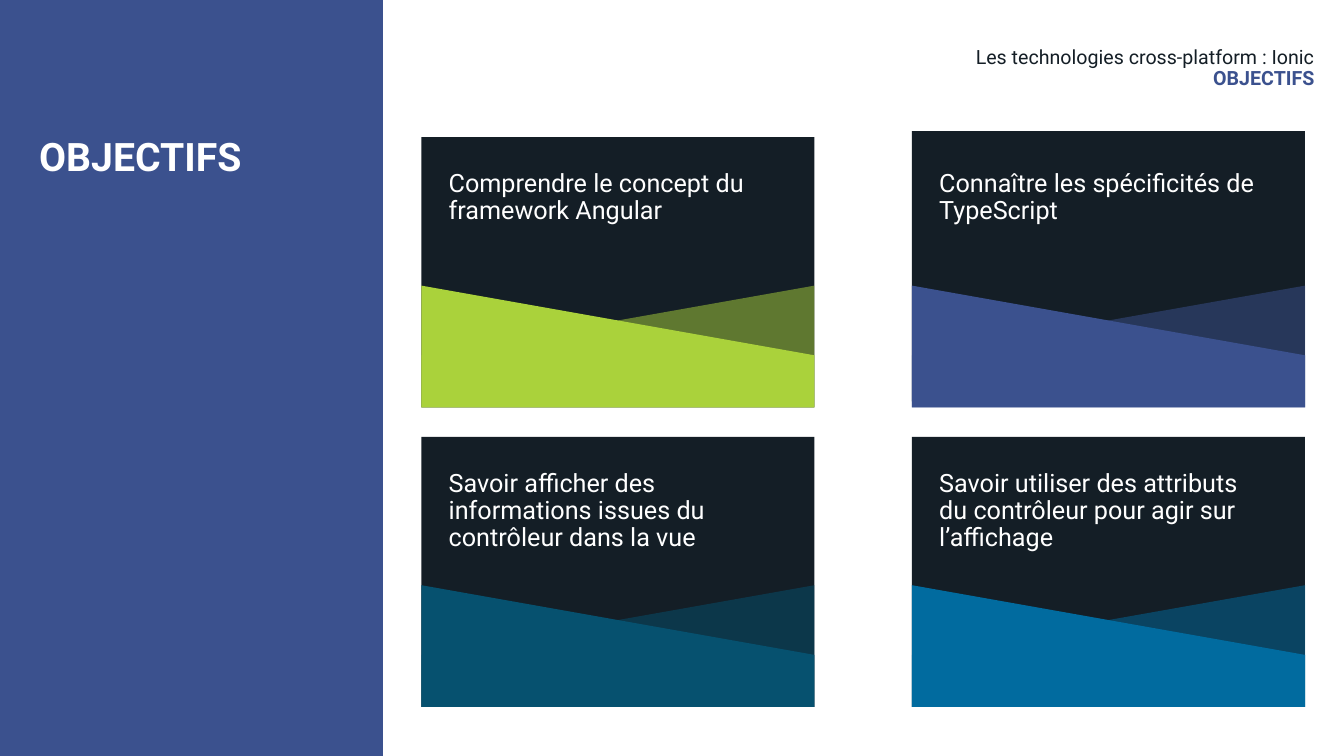
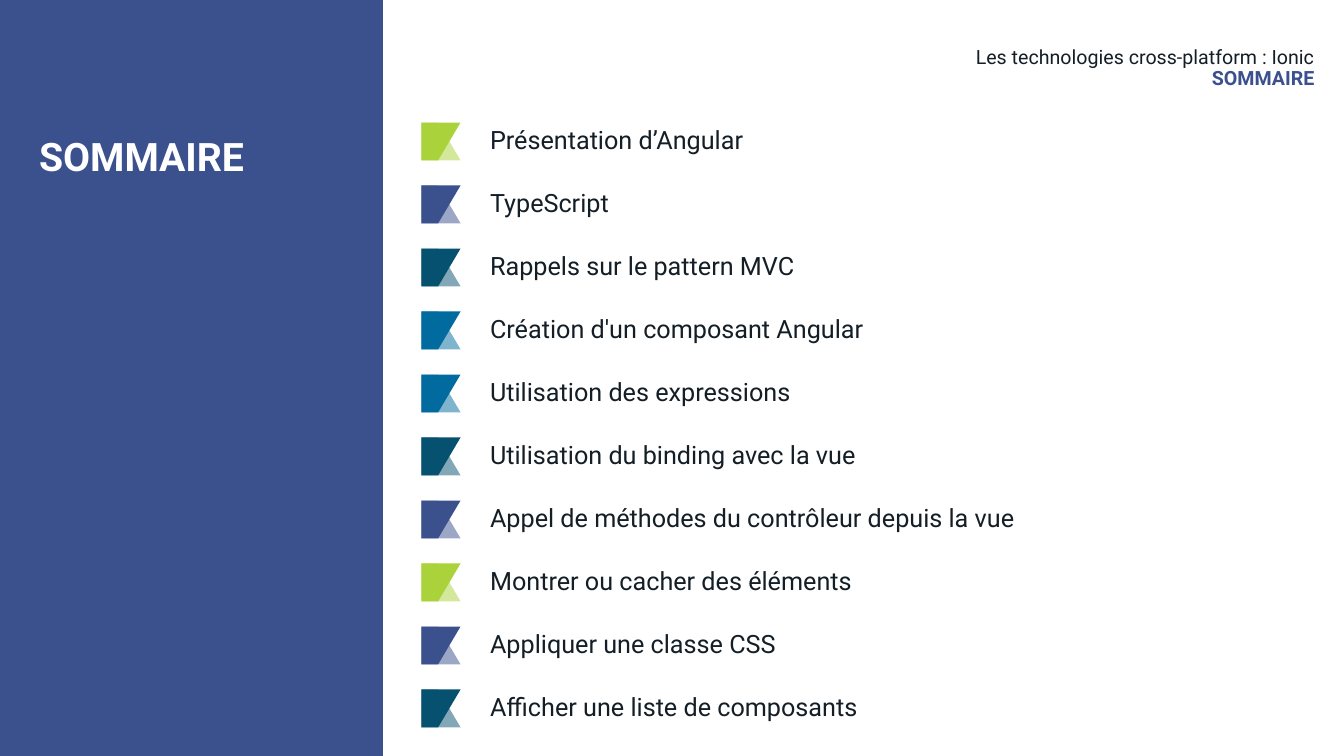
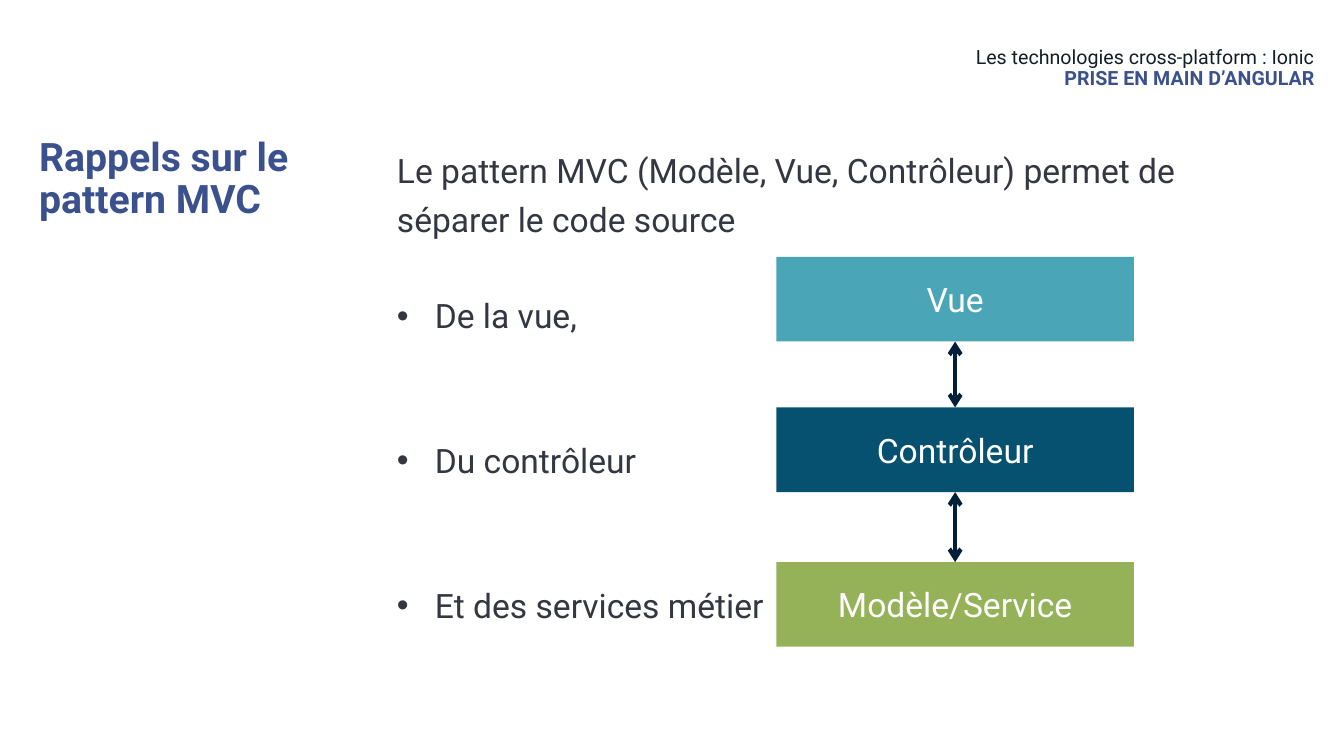
from dataclasses import dataclass

from lxml import etree
from pptx import Presentation
from pptx import util as u
from pptx.dml.color import RGBColor
from pptx.enum import shapes, text
from pptx.oxml import ns

Pt = u.Pt


@dataclass(frozen=True)
class Theme:
    font: str = "Roboto"
    white: str = "FFFFFF"
    dark: str = "141E26"
    body: str = "343642"
    arrow: str = "011F39"
    indigo: str = "3B518E"
    lime: str = "AAD23B"
    petrol: str = "06516F"
    blue: str = "016B9F"
    teal: str = "4AA5B7"
    olive: str = "95B258"
    title_size: int = 28
    body_size: int = 24
    item_size: int = 18
    header_size: int = 14


THEME = Theme()
COURSE = "Les technologies cross-platform : Ionic"
NO_INSETS = dict.fromkeys(
    ("margin_left", "margin_top", "margin_right", "margin_bottom"), 0
)


def apply(target, values):
    for name, value in values.items():
        setattr(target, name, value)


def add_xml(parent, tag, **attributes):
    element = etree.SubElement(parent, ns.qn(tag))
    for name, value in attributes.items():
        element.set(name, str(value))
    return element


class Deck:
    def __init__(self, theme):
        self.theme = theme
        self.presentation = Presentation()
        apply(self.presentation, {"slide_width": Pt(960), "slide_height": Pt(540)})
        self.slide = None

    def new_slide(self, title, section, side_panel=True):
        theme = self.theme
        self.slide = self.presentation.slides.add_slide(
            self.presentation.slide_layouts[6]
        )
        if side_panel:
            self.rectangle(0, 0, 273.6, 540, theme.indigo)
        title_color = theme.white if side_panel else theme.indigo
        title_box = self.text_box(28, 98, 225, 348, NO_INSETS)
        self.paragraph(title_box, title, theme.title_size, title_color, bold=True)
        header = self.text_box(301, 34, 638, 42, NO_INSETS)
        right = {"alignment": text.PP_ALIGN.RIGHT}
        self.paragraph(header, COURSE, theme.header_size, theme.dark, layout=right)
        self.paragraph(
            header, section, theme.header_size, theme.indigo, bold=True, layout=right
        )

    def fill(self, shape, color, opacity=100):
        shape.shadow.inherit = False
        shape.fill.solid()
        shape.fill.fore_color.rgb = RGBColor.from_string(color)
        shape.line.fill.background()
        if opacity < 100:
            color_element = shape.fill._xPr.find(".//" + ns.qn("a:srgbClr"))
            add_xml(color_element, "a:alpha", val=opacity * 1000)

    def rectangle(self, left, top, width, height, color):
        shape = self.slide.shapes.add_shape(
            shapes.MSO_SHAPE.RECTANGLE, Pt(left), Pt(top), Pt(width), Pt(height)
        )
        self.fill(shape, color)
        return shape

    def polygon(self, points, color, opacity=100):
        start, *others = [(Pt(x), Pt(y)) for x, y in points]
        builder = self.slide.shapes.build_freeform(*start)
        builder.add_line_segments(others, close=True)
        self.fill(builder.convert_to_shape(), color, opacity)

    def text_box(self, left, top, width, height, frame_values=None):
        box = self.slide.shapes.add_textbox(Pt(left), Pt(top), Pt(width), Pt(height))
        apply(box.text_frame, {"word_wrap": True, **(frame_values or {})})
        return box.text_frame

    def paragraph(
        self, frame, words, size, color, bold=False, bullet=False, layout=None
    ):
        paragraph = frame.paragraphs[0]
        if paragraph.runs:
            paragraph = frame.add_paragraph()
        apply(paragraph, {"line_spacing": 0.9, **(layout or {})})
        if bullet:
            properties = paragraph._p.get_or_add_pPr()
            apply_indent = {"marL": Pt(27), "indent": -Pt(27)}
            for name, value in apply_indent.items():
                properties.set(name, str(value))
            add_xml(properties, "a:buFont", typeface="Arial")
            add_xml(properties, "a:buChar", char="•")
        run = paragraph.add_run()
        run.text = words
        apply(run.font, {"name": self.theme.font, "size": Pt(size), "bold": bold})
        run.font.color.rgb = RGBColor.from_string(color)

    def card(self, left, top, words, color, lift=0):
        theme = self.theme
        width, height, crest, trough = 280.8, 193, 106, 155.8
        right, bottom = left + width, top + height
        self.rectangle(left, top - lift, width, height, theme.dark)
        for low, high, opacity in ((left, right, 50), (right, left, 100)):
            wave = [
                (low, top + trough),
                (high, top + crest),
                (high, bottom),
                (low, bottom),
            ]
            self.polygon(wave, color, opacity)
        frame = self.text_box(left + 12.4, top + 20.5, 248, 66)
        self.paragraph(frame, words, theme.item_size, theme.white)

    def agenda_item(self, left, top, words, color):
        theme = self.theme
        bottom = top + 27
        for near, far, opacity in ((top, bottom, 50), (bottom, top, 100)):
            flag = [
                (left + 12, near),
                (left + 28, far),
                (left, far),
                (left, near),
            ]
            self.polygon(flag, color, opacity)
        frame = self.text_box(left + 42, top, 520, 27)
        self.paragraph(frame, words, theme.item_size, theme.dark)

    def layer(self, top, words, color):
        theme = self.theme
        shape = self.rectangle(554.5, top, 255.5, 60.5, color)
        shape.text_frame.vertical_anchor = text.MSO_ANCHOR.MIDDLE
        centred = {"alignment": text.PP_ALIGN.CENTER, "line_spacing": 1.0}
        self.paragraph(
            shape.text_frame, words, theme.body_size, theme.white, layout=centred
        )
        return shape

    def double_arrow(self, upper, lower):
        connector = self.slide.shapes.add_connector(
            shapes.MSO_CONNECTOR.STRAIGHT, 0, 0, 0, 0
        )
        connector.begin_connect(upper, 2)
        connector.end_connect(lower, 0)
        connector.line.width = Pt(3)
        connector.line.color.rgb = RGBColor.from_string(self.theme.arrow)
        line = connector.line._get_or_add_ln()
        for end in ("a:headEnd", "a:tailEnd"):
            add_xml(line, end, type="arrow")
        add_xml(connector._element.spPr, "a:effectLst")


def objectives(deck):
    theme = deck.theme
    deck.new_slide("OBJECTIFS", "OBJECTIFS")
    cards = [
        ("Comprendre le concept du framework Angular", theme.lime, 0),
        ("Connaître les spécificités de TypeScript", theme.indigo, 4.3),
        (
            "Savoir afficher des informations issues du contrôleur dans la vue",
            theme.petrol,
            0,
        ),
        (
            "Savoir utiliser des attributs du contrôleur pour agir sur l’affichage",
            theme.blue,
            0,
        ),
    ]
    for index, (words, color, lift) in enumerate(cards):
        row, column = divmod(index, 2)
        deck.card(301 + column * 350.4, 98 + row * 214, words, color, lift)


def agenda(deck):
    theme = deck.theme
    deck.new_slide("SOMMAIRE", "SOMMAIRE")
    items = [
        ("Présentation d’Angular", theme.lime),
        ("TypeScript", theme.indigo),
        ("Rappels sur le pattern MVC", theme.petrol),
        ("Création d'un composant Angular", theme.blue),
        ("Utilisation des expressions", theme.blue),
        ("Utilisation du binding avec la vue", theme.petrol),
        ("Appel de méthodes du contrôleur depuis la vue", theme.indigo),
        ("Montrer ou cacher des éléments", theme.lime),
        ("Appliquer une classe CSS", theme.indigo),
        ("Afficher une liste de composants", theme.petrol),
    ]
    for index, (words, color) in enumerate(items):
        deck.agenda_item(301, 87.5 + index * 45, words, color)


def mvc_pattern(deck):
    theme = deck.theme
    deck.new_slide(
        "Rappels sur le pattern MVC", "PRISE EN MAIN D’ANGULAR", side_panel=False
    )
    frame = deck.text_box(276.5, 98, 656, 353)
    lines = [
        (
            "Le pattern MVC (Modèle, Vue, Contrôleur) permet de séparer le code source",
            False,
            0,
        ),
        ("De la vue,", True, 34.5),
        ("Du contrôleur", True, 69),
        ("Et des services métier", True, 69),
    ]
    for words, bullet, gap in lines:
        layout = {"line_spacing": 1.2}
        if gap:
            layout["space_before"] = Pt(gap)
        deck.paragraph(
            frame, words, theme.body_size, theme.body, bullet=bullet, layout=layout
        )
    view = deck.layer(183.5, "Vue", theme.teal)
    controller = deck.layer(291, "Contrôleur", theme.petrol)
    model = deck.layer(401.5, "Modèle/Service", theme.olive)
    for upper, lower in ((view, controller), (controller, model)):
        deck.double_arrow(upper, lower)


def main():
    deck = Deck(THEME)
    for build in (objectives, agenda, mvc_pattern):
        build(deck)
    deck.presentation.save("out.pptx")


if __name__ == "__main__":
    main()
